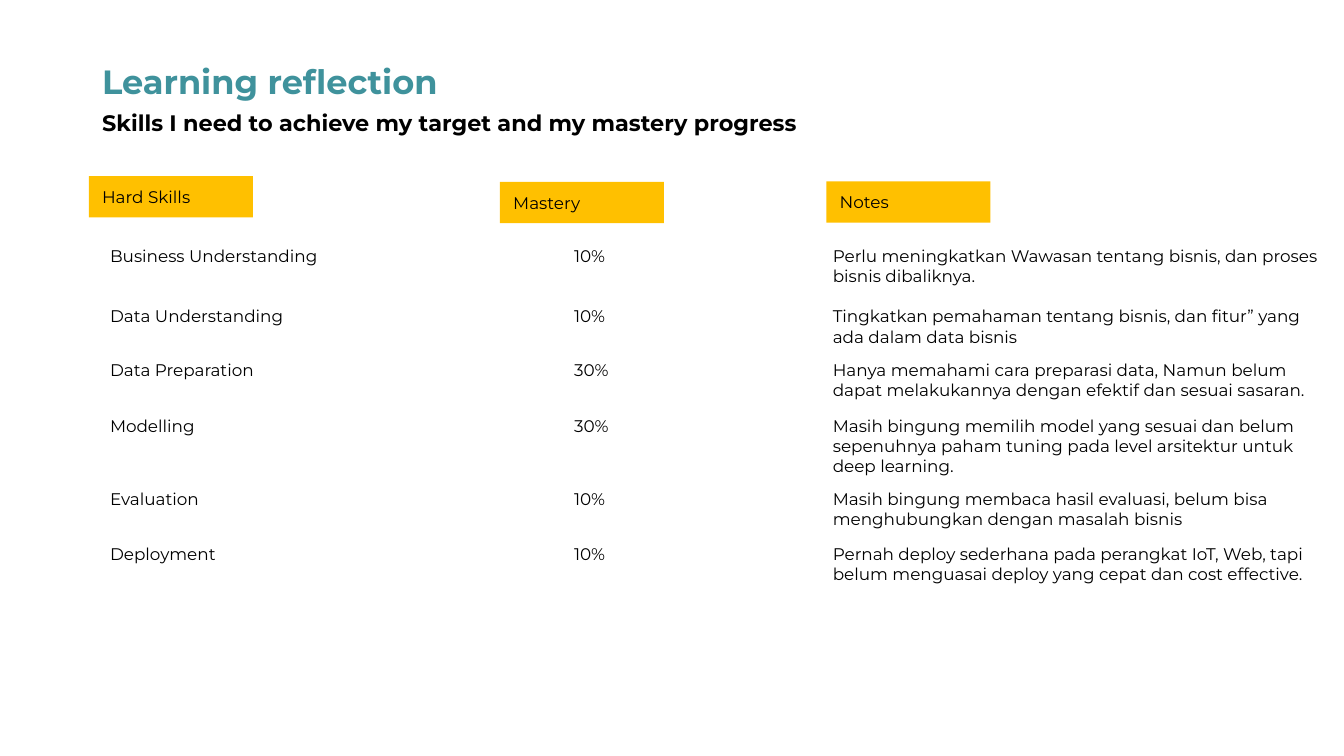
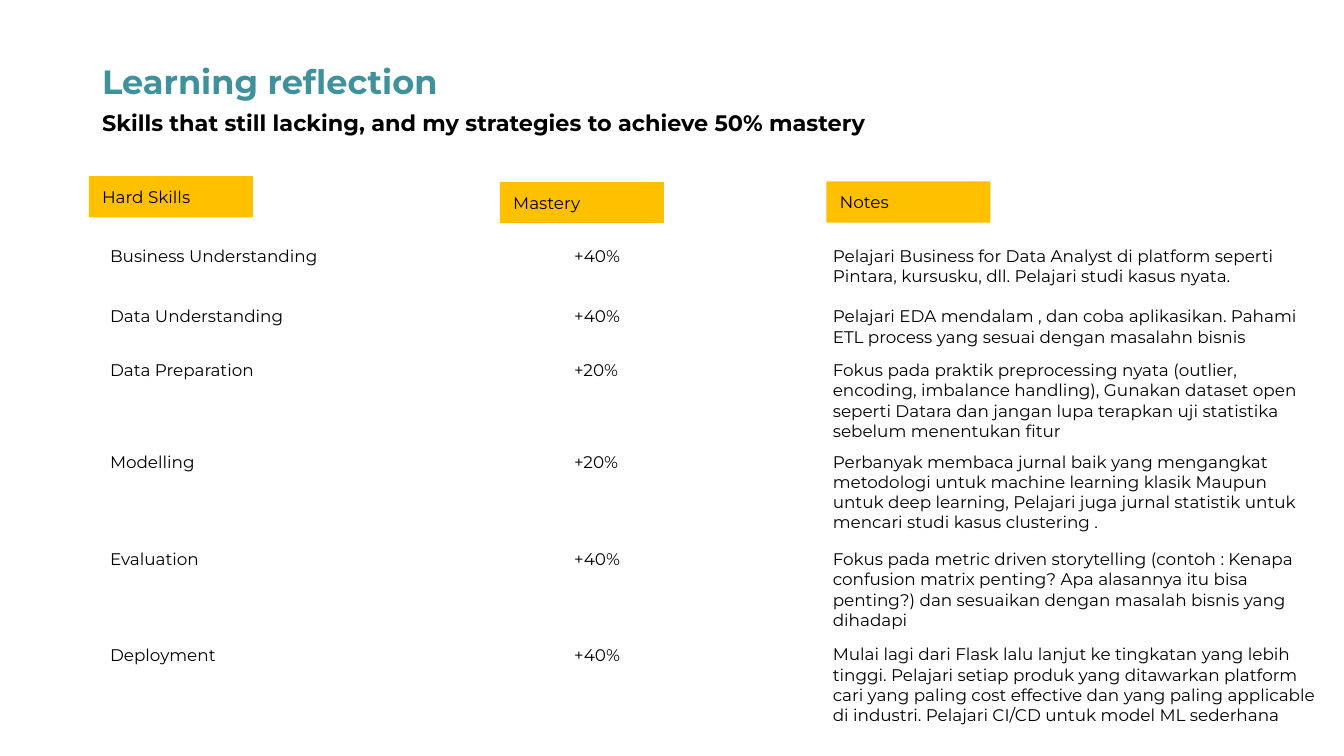
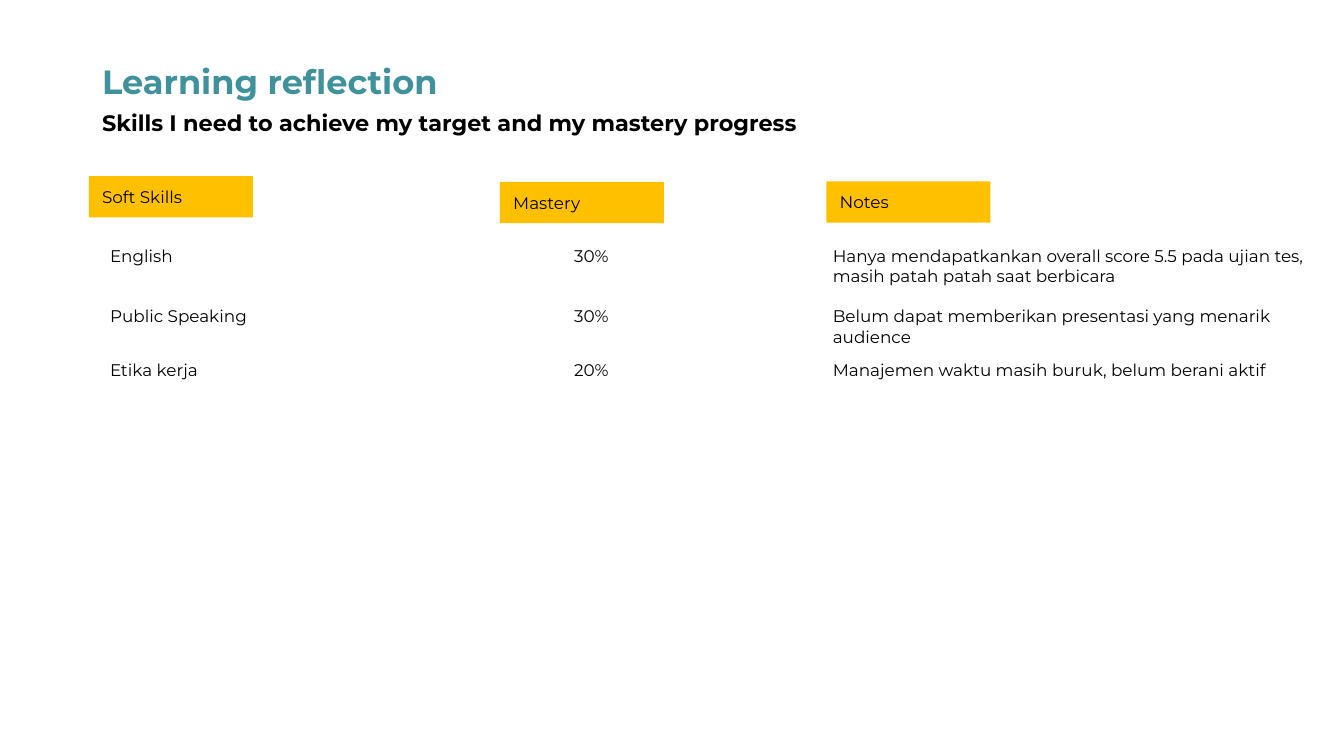
"""Builds three learning reflection slides with skills, mastery and notes."""
from pptx import Presentation, util as u
from pptx.dml.color import RGBColor
from pptx.enum import shapes, text

COLORS = {"title": "3F929C", "text": "000000", "label": "FFC000", "background": "FFFFFF"}
FONT = "Montserrat"
LABEL_SPOTS = [(1.68, 3.33), (9.45, 3.44), (15.62, 3.43)]
LINE_HEIGHT, INSET = 0.39, 0.25

PROGRESS = "Skills I need to achieve my target and my mastery progress"
STRATEGY = "Skills that still lacking, and my strategies to achieve 50% mastery"

PAGES = [
    (PROGRESS, "Hard Skills", [
        (4.52, "Business Understanding", "10%", 2,
         "Perlu meningkatkan Wawasan tentang bisnis, dan proses bisnis dibaliknya."),
        (5.66, "Data Understanding", "10%", 2,
         "Tingkatkan pemahaman tentang bisnis, dan fitur” yang ada dalam data bisnis"),
        (6.68, "Data Preparation", "30%", 2,
         "Hanya memahami cara preparasi data, Namun belum dapat melakukannya "
         "dengan efektif dan sesuai sasaran."),
        (7.73, "Modelling", "30%", 3,
         "Masih bingung memilih model yang sesuai dan belum sepenuhnya paham "
         "tuning pada level arsitektur untuk deep learning."),
        (9.11, "Evaluation", "10%", 2,
         "Masih bingung membaca hasil evaluasi, belum bisa menghubungkan dengan masalah bisnis"),
        (10.15, "Deployment", "10%", 2,
         "Pernah deploy sederhana pada perangkat IoT, Web, tapi belum menguasai "
         "deploy yang cepat dan cost effective."),
    ]),
    (STRATEGY, "Hard Skills", [
        (4.52, "Business Understanding", "+40%", 2,
         "Pelajari Business for Data Analyst di platform seperti Pintara, kursusku, dll. "
         "Pelajari studi kasus nyata."),
        (5.66, "Data Understanding", "+40%", 2,
         "Pelajari EDA mendalam , dan coba aplikasikan. Pahami ETL process yang "
         "sesuai dengan masalahn bisnis"),
        (6.68, "Data Preparation", "+20%", 4,
         "Fokus pada praktik preprocessing nyata (outlier, encoding, imbalance handling), "
         "Gunakan dataset open seperti Datara dan jangan lupa terapkan uji statistika "
         "sebelum menentukan fitur"),
        (8.41, "Modelling", "+20%", 4,
         "Perbanyak membaca jurnal baik yang mengangkat metodologi untuk machine learning "
         "klasik Maupun untuk deep learning, Pelajari juga jurnal statistik untuk mencari "
         "studi kasus clustering ."),
        (10.25, "Evaluation", "+40%", 4,
         "Fokus pada metric driven storytelling (contoh : Kenapa confusion matrix penting? "
         "Apa alasannya itu bisa penting?) dan sesuaikan dengan masalah bisnis yang dihadapi"),
        (12.05, "Deployment", "+40%", 4,
         "Mulai lagi dari Flask lalu lanjut ke tingkatan yang lebih tinggi. Pelajari setiap "
         "produk yang ditawarkan platform cari yang paling cost effective dan yang paling "
         "applicable di industri. Pelajari CI/CD untuk model ML sederhana"),
    ]),
    (PROGRESS, "Soft Skills", [
        (4.52, "English", "30%", 2,
         "Hanya mendapatkankan overall score 5.5 pada ujian tes, masih patah patah saat berbicara"),
        (5.66, "Public Speaking", "30%", 2,
         "Belum dapat memberikan presentasi yang menarik audience"),
        (6.68, "Etika kerja", "20%", 1,
         "Manajemen waktu masih buruk, belum berani aktif"),
    ]),
]


class ReflectionDeck:
    """Holds the shared style and the current slide."""

    def __init__(self):
        self.presentation = Presentation()
        self.presentation.slide_width = u.Cm(25.4)
        self.presentation.slide_height = u.Cm(14.29)
        self.slide = None

    def color(self, name):
        return RGBColor.from_string(COLORS[name])

    def set_words(self, shape, words, size=9, color="text", bold=False):
        frame = shape.text_frame
        frame.word_wrap = True
        paragraph = frame.paragraphs[0]
        paragraph.text = words
        paragraph.alignment = text.PP_ALIGN.LEFT
        paragraph.font.name = FONT
        paragraph.font.size = u.Pt(size)
        paragraph.font.bold = bold
        paragraph.font.color.rgb = self.color(color)
        return frame

    def text_box(self, left, top, width, height, words, **style):
        box = self.slide.shapes.add_textbox(u.Cm(left), u.Cm(top), u.Cm(width), u.Cm(height))
        frame = self.set_words(box, words, **style)
        frame.auto_size = text.MSO_AUTO_SIZE.SHAPE_TO_FIT_TEXT
        return frame

    def entry(self, left, top, width, words):
        frame = self.text_box(left, top, width, 0.64, words)
        frame.auto_size = text.MSO_AUTO_SIZE.NONE
        frame.vertical_anchor = text.MSO_ANCHOR.BOTTOM
        frame.margin_left = u.Cm(0.89)
        frame.paragraphs[0].line_spacing = 0.9

    def note(self, top, lines, words):
        self.text_box(15.49, top, 9.68, INSET + lines * LINE_HEIGHT, words)

    def label(self, left, top, words):
        shape = self.slide.shapes.add_shape(
            shapes.MSO_SHAPE.RECTANGLE, u.Cm(left), u.Cm(top), u.Cm(3.1), u.Cm(0.78))
        shape.shadow.inherit = False
        shape.fill.solid()
        shape.fill.fore_color.rgb = self.color("label")
        shape.line.fill.background()
        self.set_words(shape, words).vertical_anchor = text.MSO_ANCHOR.MIDDLE

    def start_slide(self, subtitle):
        self.slide = self.presentation.slides.add_slide(self.presentation.slide_layouts[6])
        background = self.slide.background.fill
        background.solid()
        background.fore_color.rgb = self.color("background")
        self.text_box(1.68, 1.02, 8.71, 1.02, "Learning reflection",
                      size=18, color="title", bold=True)
        self.text_box(1.68, 1.94, 16.64, 0.77, subtitle, size=12, bold=True)

    def page(self, subtitle, skill_label, rows):
        self.start_slide(subtitle)
        for (left, top), words in zip(LABEL_SPOTS, (skill_label, "Mastery", "Notes")):
            self.label(left, top, words)
        for top, skill, mastery, lines, note in rows:
            self.entry(1.19, top, 8.28, skill)
            self.entry(9.96, top, 5.66, mastery)
            self.note(top, lines, note)


def main():
    deck = ReflectionDeck()
    for page in PAGES:
        deck.page(*page)
    deck.presentation.save("out.pptx")


if __name__ == "__main__":
    main()
